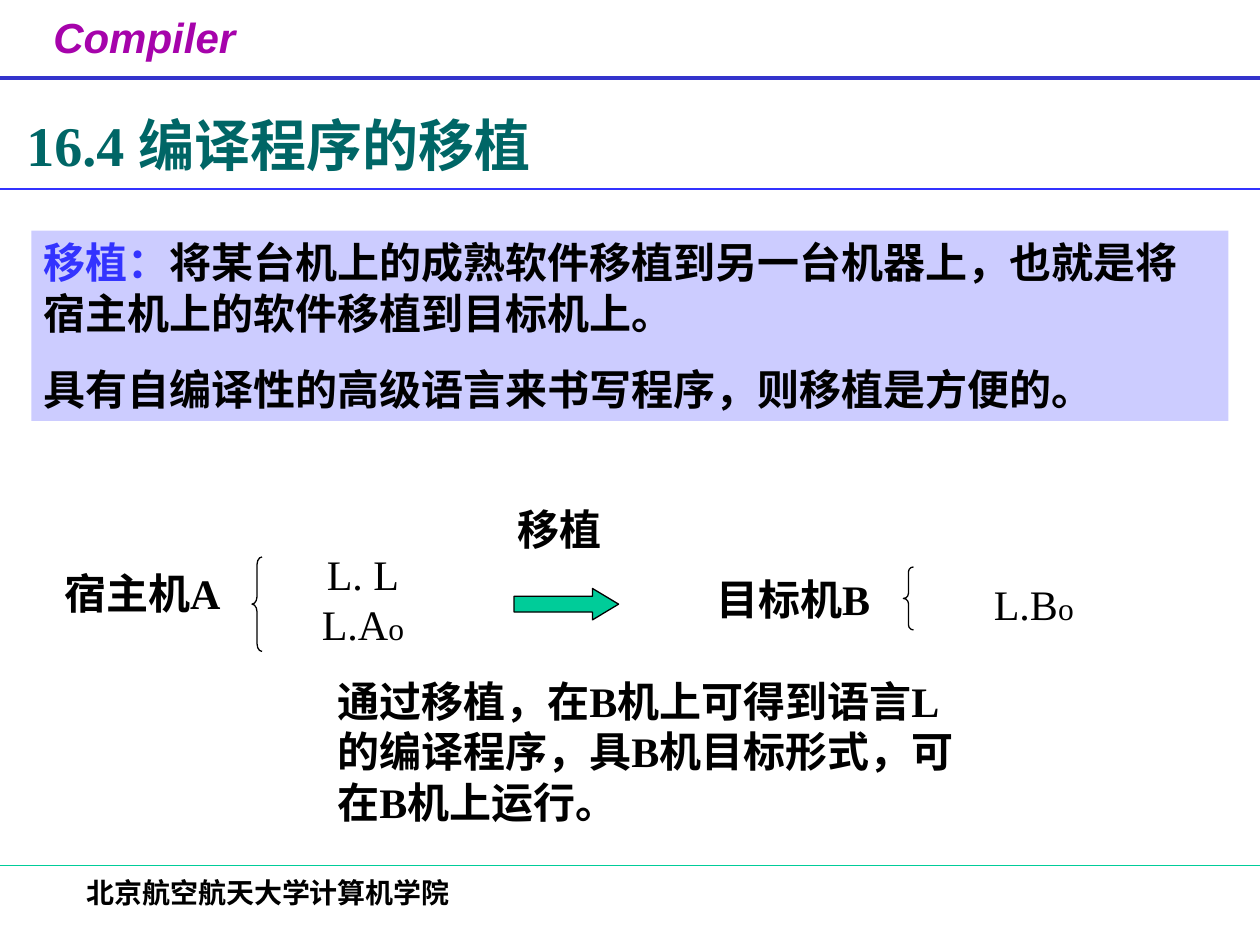
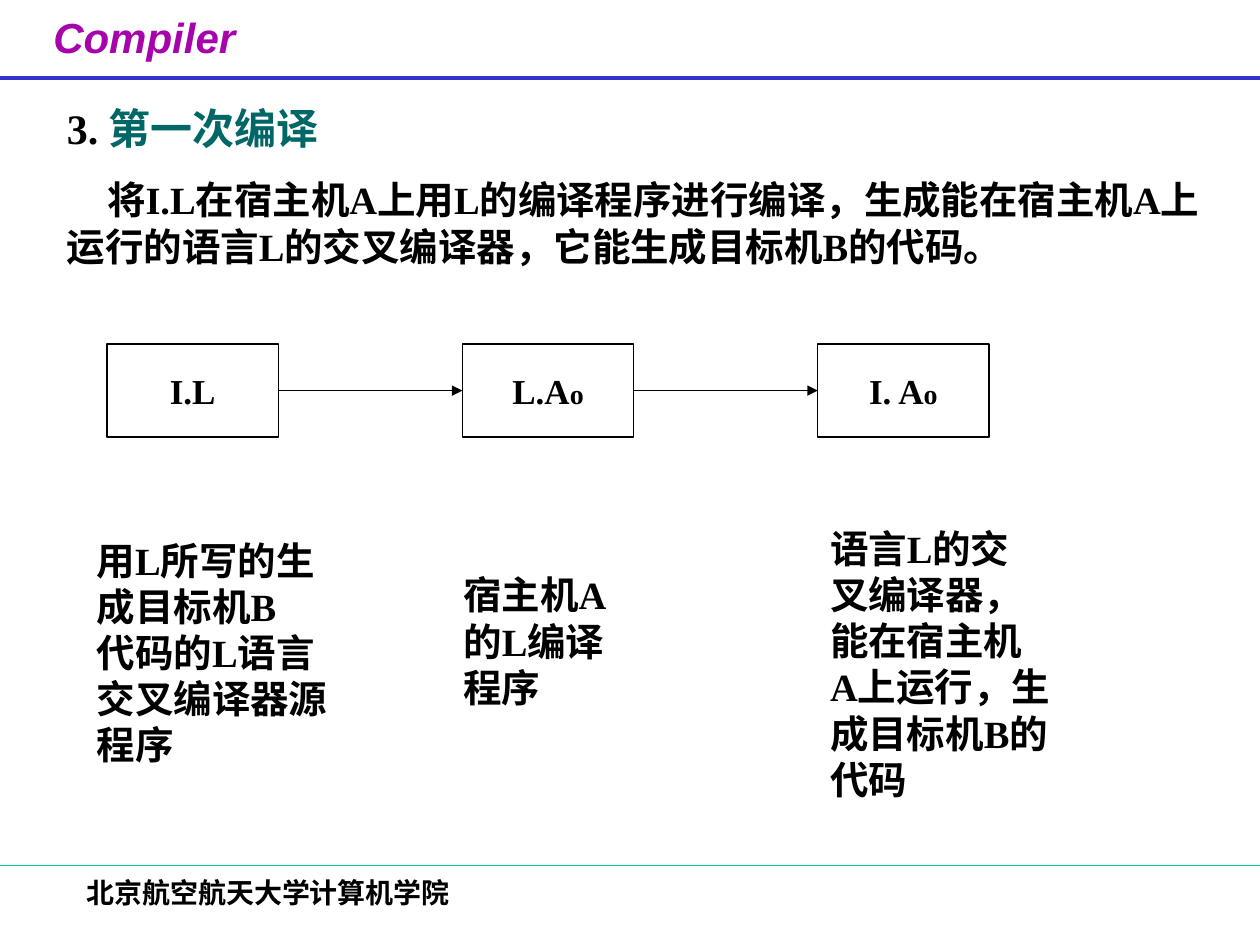
import pptx
import pptx.util
import pptx.dml.color
import pptx.enum.shapes
import pptx.enum.text
import pptx.oxml.ns
import lxml.etree

Inches, Pt = pptx.util.Inches, pptx.util.Pt
RGBColor = pptx.dml.color.RGBColor
SHAPE = pptx.enum.shapes.MSO_SHAPE
ANCHOR = pptx.enum.text.MSO_ANCHOR
LEFT = pptx.enum.text.PP_ALIGN.LEFT
CENTER = pptx.enum.text.PP_ALIGN.CENTER
qn = pptx.oxml.ns.qn

BLACK = RGBColor(0x00, 0x00, 0x00)
PURPLE = RGBColor(0xA6, 0x03, 0xAB)
NAVY = RGBColor(0x33, 0x33, 0xCC)
BLUE = RGBColor(0x33, 0x33, 0xFF)
LAVENDER = RGBColor(0xCC, 0xCC, 0xFF)
GREEN = RGBColor(0x00, 0xCC, 0x99)
TEAL = RGBColor(0x00, 0x66, 0x66)


def write(sp, paragraphs, size, align=LEFT, anchor=ANCHOR.TOP, wrap=False,
          bold=True, space=0, font="Times New Roman", italic=False):
    """Fill sp with paragraphs, each a list of (text, colour[, size]) runs."""
    tf = sp.text_frame
    tf.auto_size = pptx.enum.text.MSO_AUTO_SIZE.NONE
    tf.word_wrap = wrap
    tf.vertical_anchor = anchor
    for i, runs in enumerate(paragraphs):
        p = tf.add_paragraph() if i else tf.paragraphs[0]
        p.alignment = align
        p.space_before = Pt(space if i else 0)
        for text, color, *own_size in runs:
            r = p.add_run()
            r.text = text
            r.font.name = font
            r.font.size = Pt(own_size[0] if own_size else size)
            r.font.bold = bold
            r.font.italic = italic
            r.font.color.rgb = color


def add_line(s, x1, y1, x2, y2, color, width=0.75, arrow=False):
    c = s.shapes.add_connector(pptx.enum.shapes.MSO_CONNECTOR.STRAIGHT,
                               Inches(x1), Inches(y1), Inches(x2), Inches(y2))
    c.line.color.rgb = color
    c.line.width = Pt(width)
    if arrow:
        lxml.etree.SubElement(c.line._ln, qn("a:tailEnd"), type="triangle")
    lxml.etree.SubElement(c._element.spPr, qn("a:effectLst"))


prs = pptx.Presentation()
prs.slide_width, prs.slide_height = Inches(10), Inches(7.5)
s1 = prs.slides.add_slide(prs.slide_layouts[5])
s2 = prs.slides.add_slide(prs.slide_layouts[1])

# Shared header and footer
for s in (s1, s2):
    sp = s.shapes.add_textbox(Inches(0.19), Inches(0.04), Inches(1.91), Inches(0.62))
    write(sp, [[("Compiler", PURPLE)]], 24, CENTER, font="Arial", italic=True)
    add_line(s, 0, 0.62, 10, 0.62, NAVY, 2.25)
    sp = s.shapes.add_textbox(Inches(0.59), Inches(6.9), Inches(5.65), Inches(0.5))
    write(sp, [[("北京航空航天大学计算机学院", BLACK)]], 16, wrap=True)
    add_line(s, 0, 6.87, 10, 6.87, GREEN)

# Slide 1: porting a compiler
sp = s1.shapes.title
sp.left, sp.top, sp.width, sp.height = Inches(0.11), Inches(0.83), Inches(4.8), Inches(0.64)
write(sp, [[("16.4 编译程序的移植", TEAL)]], 32, wrap=True)
add_line(s1, 0, 1.5, 10, 1.5, BLUE)

sp = s1.shapes.add_shape(SHAPE.RECTANGLE, Inches(0.25), Inches(1.83), Inches(9.5), Inches(1.51))
sp.shadow.inherit = False
sp.fill.solid()
sp.fill.fore_color.rgb = LAVENDER
sp.line.fill.background()
write(sp, [[("移植：", BLUE),
            ("将某台机上的成熟软件移植到另一台机器上，也就是将宿主机上的软件移植到目标机上。", BLACK)],
           [("具有自编译性的高级语言来书写程序，则移植是方便的。", BLACK)]],
      24, wrap=True, space=15)

for x, y, w, h, bold, paragraphs in (
        (0.42, 4.33, 1.42, 0.75, True, [[("宿主机A", BLACK)]]),
        (2.17, 4.25, 1.42, 1, False, [[("L. L", BLACK)], [("L.A", BLACK), ("o", BLACK, 18)]]),
        (3.94, 3.95, 1, 0.5, True, [[("移植", BLACK)]]),
        (5.67, 4.5, 1.25, 0.5, True, [[("目标机B", BLACK)]]),
        (7.58, 4.5, 1.25, 0.58, False, [[("L.B", BLACK), ("o", BLACK, 18)]])):
    sp = s1.shapes.add_textbox(Inches(x), Inches(y), Inches(w), Inches(h))
    write(sp, paragraphs, 24, CENTER, ANCHOR.MIDDLE, bold=bold)

for x, y, h, curve in ((2, 4.42, 0.75, 0.75), (7.17, 4.5, 0.5, 0.5)):
    sp = s1.shapes.add_shape(SHAPE.LEFT_BRACE, Inches(x), Inches(y), Inches(0.08), Inches(h))
    sp.shadow.inherit = False
    sp.adjustments[0] = curve
    sp.fill.background()
    sp.line.color.rgb = BLACK
    sp.line.width = Pt(0.75)

sp = s1.shapes.add_shape(SHAPE.RIGHT_ARROW, Inches(4.08), Inches(4.67), Inches(0.83), Inches(0.25))
sp.shadow.inherit = False
sp.adjustments[1] = 0.83
sp.fill.solid()
sp.fill.fore_color.rgb = GREEN
sp.line.color.rgb = BLACK
sp.line.width = Pt(0.75)

sp = s1.shapes.add_textbox(Inches(2.58), Inches(5.42), Inches(5.5), Inches(1.08))
closing = ("通过移植，在B机上可得到语言L", "的编译程序，具B机目标形式，可", "在B机上运行。")
write(sp, [[(t, BLACK)] for t in closing], 24, anchor=ANCHOR.MIDDLE)

# Slide 2: first compilation
sp = s2.shapes.title
sp.left, sp.top, sp.width, sp.height = Inches(0.43), Inches(0.76), Inches(9.29), Inches(0.55)
write(sp, [[("3. ", BLACK), ("第一次编译", TEAL)]], 24, wrap=True)

sp = s2.placeholders[1]
sp.left, sp.top, sp.width, sp.height = Inches(0.43), Inches(1.35), Inches(9.29), Inches(0.84)
write(sp, [[("将I.L在宿主机A上用L的编译程序进行编译，生成能在宿主机A上运行的语言L的交叉编译器，"
             "它能生成目标机B的代码。", BLACK)]], 22, wrap=True)
pPr = sp.text_frame.paragraphs[0]._p.get_or_add_pPr()
pPr.set("marL", "0")
pPr.set("indent", str(Inches(0.32)))
lxml.etree.SubElement(pPr, qn("a:buNone"))

BOX_X, BOX_Y, BOX_W, BOX_H, STEP = 0.85, 2.73, 1.36, 0.74, 2.82
stages = (("I.L", ""), ("L.A", "o"), ("I. A", "o"))
for i, (name, suffix) in enumerate(stages):
    x = BOX_X + i * STEP
    sp = s2.shapes.add_shape(SHAPE.RECTANGLE, Inches(x), Inches(BOX_Y), Inches(BOX_W), Inches(BOX_H))
    sp.shadow.inherit = False
    sp.fill.background()
    sp.line.color.rgb = BLACK
    sp.line.width = Pt(0.75)
    runs = [(name, BLACK)] + ([(suffix, BLACK, 16)] if suffix else [])
    write(sp, [runs], 20, CENTER, ANCHOR.MIDDLE)
    if i:
        mid = BOX_Y + BOX_H / 2
        add_line(s2, x - STEP + BOX_W, mid, x, mid, BLACK, arrow=True)

for x, y, lines in (
        (0.67, 4.02, ("用L所写的生", "成目标机B", "代码的L语言", "交叉编译器源", "程序")),
        (3.58, 3.93, ("宿主机A", "的L编译", "程序")),
        (6.49, 4.11, ("语言L的交", "叉编译器，", "能在宿主机", "A上运行，生", "成目标机B的", "代码"))):
    sp = s2.shapes.add_textbox(Inches(x), Inches(y), Inches(2.1), Inches(2.31))
    write(sp, [[(t, BLACK)] for t in lines], 22, anchor=ANCHOR.MIDDLE)

prs.save("out.pptx")
